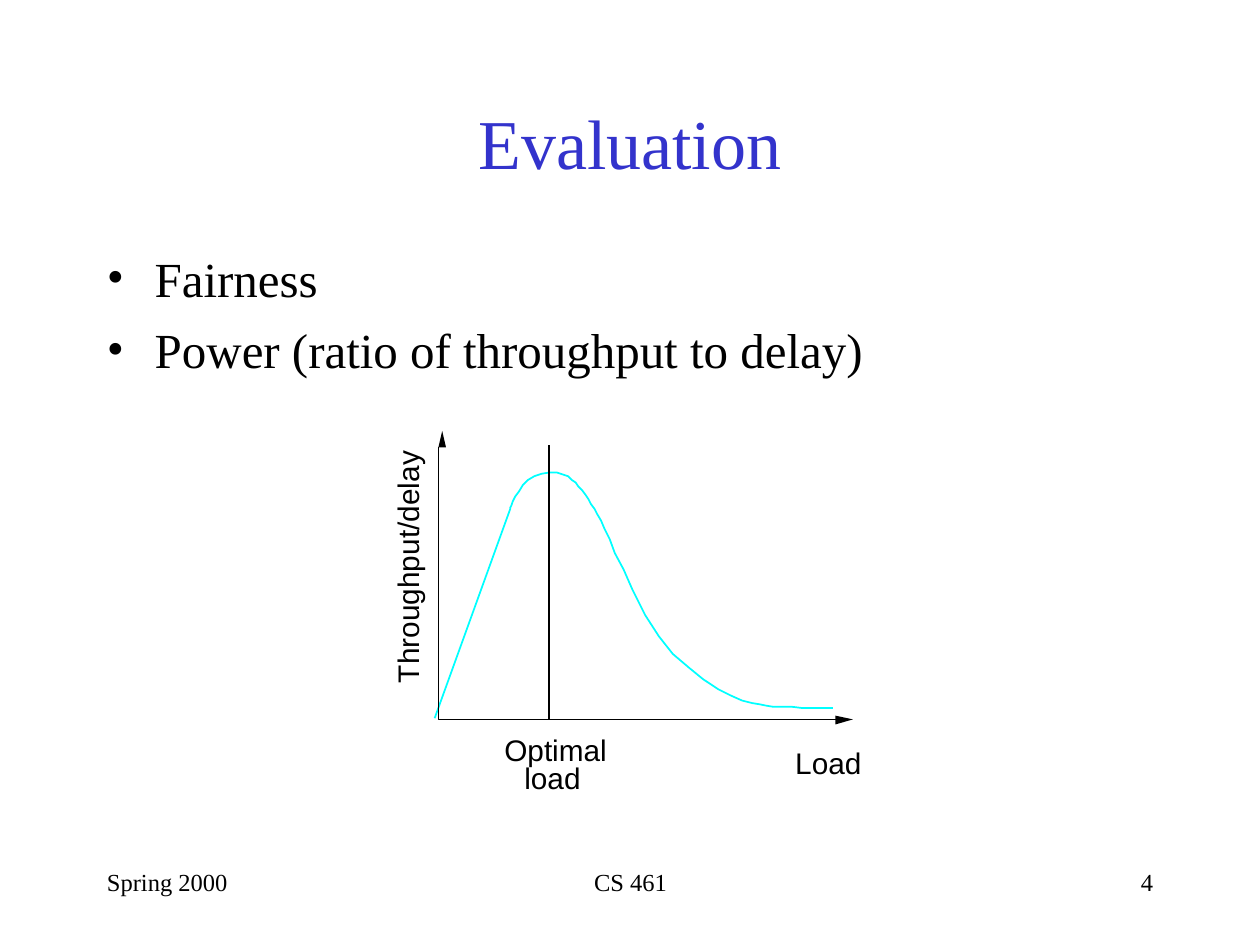
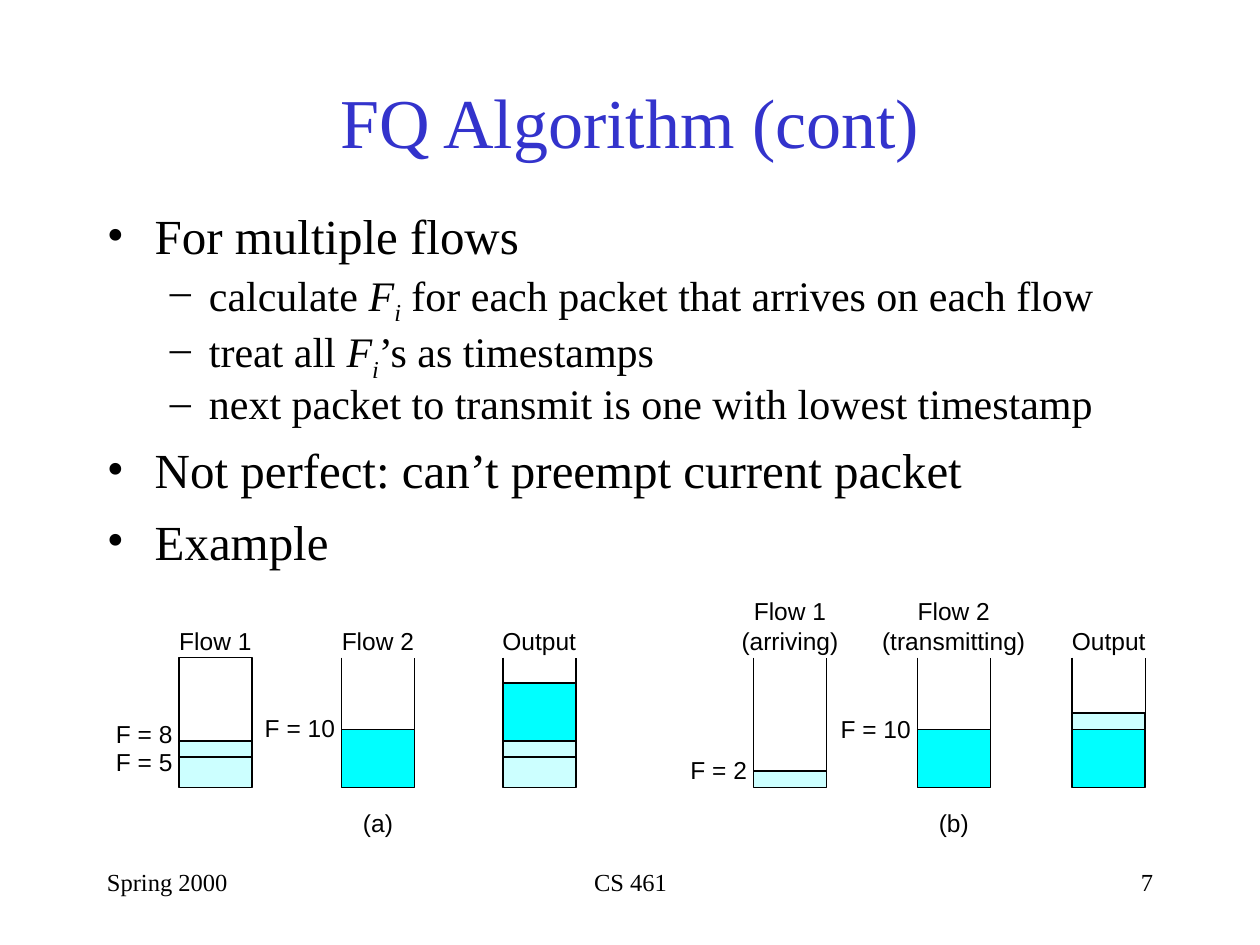
from lxml import etree
from pptx import Presentation
from pptx.dml.color import RGBColor
from pptx.enum.shapes import MSO_CONNECTOR, MSO_SHAPE
from pptx.enum.text import MSO_ANCHOR, PP_ALIGN
from pptx.oxml.ns import qn
from pptx.util import Inches, Pt

LEFT, MID, RIGHT = PP_ALIGN.LEFT, PP_ALIGN.CENTER, PP_ALIGN.RIGHT
TOP, CENTER, BOTTOM = MSO_ANCHOR.TOP, MSO_ANCHOR.MIDDLE, MSO_ANCHOR.BOTTOM
RECT, STRAIGHT = MSO_SHAPE.RECTANGLE, MSO_CONNECTOR.STRAIGHT
SERIF, SANS = "Times New Roman", "Arial"
COLORS = {"title": "3333CC", "ink": "000000", "cyan": "00FFFF", "pale": "CCFFFF"}
LEVELS = [
    {"mark": "•", "left": 0.38, "hang": 0.38, "size": 28, "before": 7, "line": None},
    {"mark": "–", "left": 0.81, "hang": 0.31, "size": 24, "before": 6, "line": 0.8},
]
FLOW_W, FLOW_H = 0.58, 1.03
SMALL, MEDIUM, LARGE = (0.13, "pale"), (0.24, "pale"), (0.46, "cyan")
CURVE = [
    (0, 195), (60, 29), (60, 28), (61, 26), (62, 23), (64, 19), (67, 15), (70, 10),
    (74, 6), (79, 3), (85, 1), (91, 0), (97, 0), (100, 1), (103, 2), (106, 3),
    (109, 6), (112, 8), (114, 11), (117, 14), (120, 18), (122, 21), (124, 25),
    (127, 29), (129, 33), (132, 38), (135, 45), (139, 53), (143, 64), (150, 77),
    (157, 93), (167, 113), (178, 130), (189, 144), (202, 155), (213, 164),
    (225, 172), (235, 177), (244, 181), (252, 183), (258, 184), (263, 185),
    (269, 186), (284, 186), (292, 187), (316, 187),
]


def rgb(name):
    """Return a palette colour."""
    return RGBColor.from_string(COLORS[name])


def style(para, size, font, color="ink"):
    """Set the font of a whole paragraph."""
    para.font.size = Pt(size)
    para.font.name = font
    para.font.color.rgb = rgb(color)


def frame(slide, box, anchor=TOP, pad=True, wrap=True):
    """Add a text box and return its shape."""
    shape = slide.shapes.add_textbox(*map(Inches, box))
    text = shape.text_frame
    text.word_wrap = wrap
    text.vertical_anchor = anchor
    text.margin_left = text.margin_right = Inches(0.1 if pad else 0)
    text.margin_top = text.margin_bottom = Inches(0.05 if pad else 0)
    return shape


def write(shape, lines, size, font, color="ink", align=LEFT):
    """Fill a text box with evenly styled lines."""
    text = shape.text_frame
    for i, line in enumerate(lines):
        para = text.add_paragraph() if i else text.paragraphs[0]
        para.text = line
        para.alignment = align
        style(para, size, font, color)


def label(slide, box, text, size=14, align=MID, anchor=TOP, turn=0):
    """Add a figure label, one paragraph for each line."""
    shape = frame(slide, box, anchor, pad=False, wrap=False)
    shape.rotation = turn
    write(shape, text.split("\n"), size, SANS, align=align)


def title(slide, top, text):
    """Add the slide title."""
    shape = frame(slide, (0.75, top, 8.5, 1.25), CENTER)
    write(shape, [text], 40, SERIF, "title", MID)


def footer(slide, page):
    """Add the date, the course and the page number."""
    parts = [
        (0.75, 2.08, "Spring 2000", LEFT),
        (3.42, 3.17, "CS 461", MID),
        (7.17, 2.08, page, RIGHT),
    ]
    for left, width, text, align in parts:
        write(frame(slide, (left, 6.83, width, 0.5)), [text], 14, SERIF, align=align)


def body(slide, top, items):
    """Add bullets; a part starting with * is italic, with _ a subscript."""
    text = frame(slide, (0.75, top, 8.5, 4.5)).text_frame
    for i, (depth, *parts) in enumerate(items):
        level = LEVELS[depth]
        para = text.add_paragraph() if i else text.paragraphs[0]
        para.level = depth
        props = para._p.get_or_add_pPr()
        props.set("marL", str(Inches(level["left"])))
        props.set("indent", str(-Inches(level["hang"])))
        etree.SubElement(props, qn("a:buFont")).set("typeface", SERIF)
        etree.SubElement(props, qn("a:buChar")).set("char", level["mark"])
        if i:
            para.space_before = Pt(level["before"])
        if level["line"]:
            para.line_spacing = level["line"]
        style(para, level["size"], SERIF)
        for part in parts:
            run = para.add_run()
            run.text = part.lstrip("*_")
            if part[0] in "*_":
                run.font.italic = True
            if part[0] == "_":
                run._r.get_or_add_rPr().set("baseline", "-25000")


def paint(shape, fill=None, line=None, width=1):
    """Set the fill and line of a shape."""
    shape.shadow.inherit = False
    if fill:
        shape.fill.solid()
        shape.fill.fore_color.rgb = rgb(fill)
    else:
        shape.fill.background()
    if line:
        shape.line.color.rgb = rgb(line)
        shape.line.width = Pt(width)
    else:
        shape.line.fill.background()


def trace(slide, points, closed=False, **look):
    """Draw an outline through points given in inches."""
    spots = [(Inches(x), Inches(y)) for x, y in points]
    pen = slide.shapes.build_freeform(*spots[0], scale=1.0)
    pen.add_line_segments(spots[1:], close=closed)
    paint(pen.convert_to_shape(), **look)


def graph(slide, left, top):
    """Draw power against load, with the optimum marked."""
    def place(*points):
        return [(left + x, top + y) for x, y in points]

    trace(slide, place(*((x / 100, 0.33 + y / 100) for x, y in CURVE)), line="cyan")
    trace(slide, place((0.03, 0.13), (0.03, 2.29), (3.21, 2.29)), line="ink")
    trace(slide, place((3.18, 2.33), (3.32, 2.29), (3.18, 2.26)), True, fill="ink")
    trace(slide, place((0.09, 0.13), (0.06, 0), (0.03, 0.13)), True, fill="ink")
    (x, low), (_, high) = place((0.91, 2.29), (0.91, 0.11))
    peak = slide.shapes.add_connector(STRAIGHT, *map(Inches, (x, low, x, high)))
    peak.line.color.rgb = rgb("ink")
    peak.line.width = Pt(1)
    etree.SubElement(peak._element.spPr, qn("a:effectLst"))
    names = [
        (0.55, 2.39, 0.82, "Optimal", 0),
        (0.71, 2.61, 0.45, "load", 0),
        (2.86, 2.49, 0.53, "Load", 0),
        (-1.42, 0.94, 2.4, "Throughput/delay", 270),
    ]
    for x, y, width, text, turn in names:
        label(slide, (left + x, top + y, width, 0.28), text, 17, turn=turn)


def queue(slide, left, top, head, packets, tags=(), lid=False):
    """Draw a queue with packets stacked from its floor and tags at its left."""
    right, level = left + FLOW_W, top + FLOW_H
    for height, color in packets:
        level -= height
        box = map(Inches, (left, level, FLOW_W, height))
        paint(slide.shapes.add_shape(RECT, *box), color, "ink", 0.88)
    walls = [(left, top), (left, level), (right, level), (right, top)]
    trace(slide, walls, lid, line="ink", width=0.88)
    label(slide, (left - 0.31, top - 0.48, 1.2, 0.46), head, anchor=BOTTOM)
    for text, drop in tags:
        label(slide, (left - 0.65, top + drop, 0.6, 0.23), text, align=RIGHT)


def panel(slide, left, top, caption, queues):
    """Draw a row of queues with a caption below the second."""
    for shift, *parts in queues:
        queue(slide, left + shift, top, *parts)
    label(slide, (left + queues[1][0], top + 1.19, FLOW_W, 0.23), caption)


def evaluate(slide):
    """Build the evaluation slide."""
    title(slide, 0.5, "Evaluation")
    body(slide, 1.92, [(0, "Fairness"), (0, "Power (ratio of throughput to delay)")])
    graph(slide, 3.45, 3.42)
    footer(slide, "4")


def fair(slide):
    """Build the fair queuing slide."""
    title(slide, 0.33, "FQ Algorithm (cont)")
    body(slide, 1.58, [
        (0, "For multiple flows"),
        (1, "calculate ", "*F", "_i", " for each packet that arrives on each flow"),
        (1, "treat all ", "*F", "_i", "’s as timestamps"),
        (1, "next packet to transmit is one with lowest timestamp"),
        (0, "Not perfect: can’t preempt current packet"),
        (0, "Example"),
    ])
    panel(slide, 1.42, 5.22, "(a)", [
        (0, "Flow 1", [MEDIUM, SMALL], [("F = 8", 0.49), ("F = 5", 0.71)], True),
        (1.29, "Flow 2", [LARGE], [("F = 10", 0.44)]),
        (2.57, "Output", [MEDIUM, SMALL, LARGE]),
    ])
    panel(slide, 5.98, 5.22, "(b)", [
        (0, "Flow 1\n(arriving)", [SMALL], [("F = 2", 0.77)]),
        (1.3, "Flow 2\n(transmitting)", [LARGE], [("F = 10", 0.45)]),
        (2.53, "Output", [LARGE, SMALL]),
    ])
    footer(slide, "7")


def main():
    """Build and save the slides."""
    deck = Presentation()
    deck.slide_width, deck.slide_height = Inches(10), Inches(7.5)
    for build in (evaluate, fair):
        build(deck.slides.add_slide(deck.slide_layouts[6]))
    deck.save("out.pptx")


if __name__ == "__main__":
    main()
